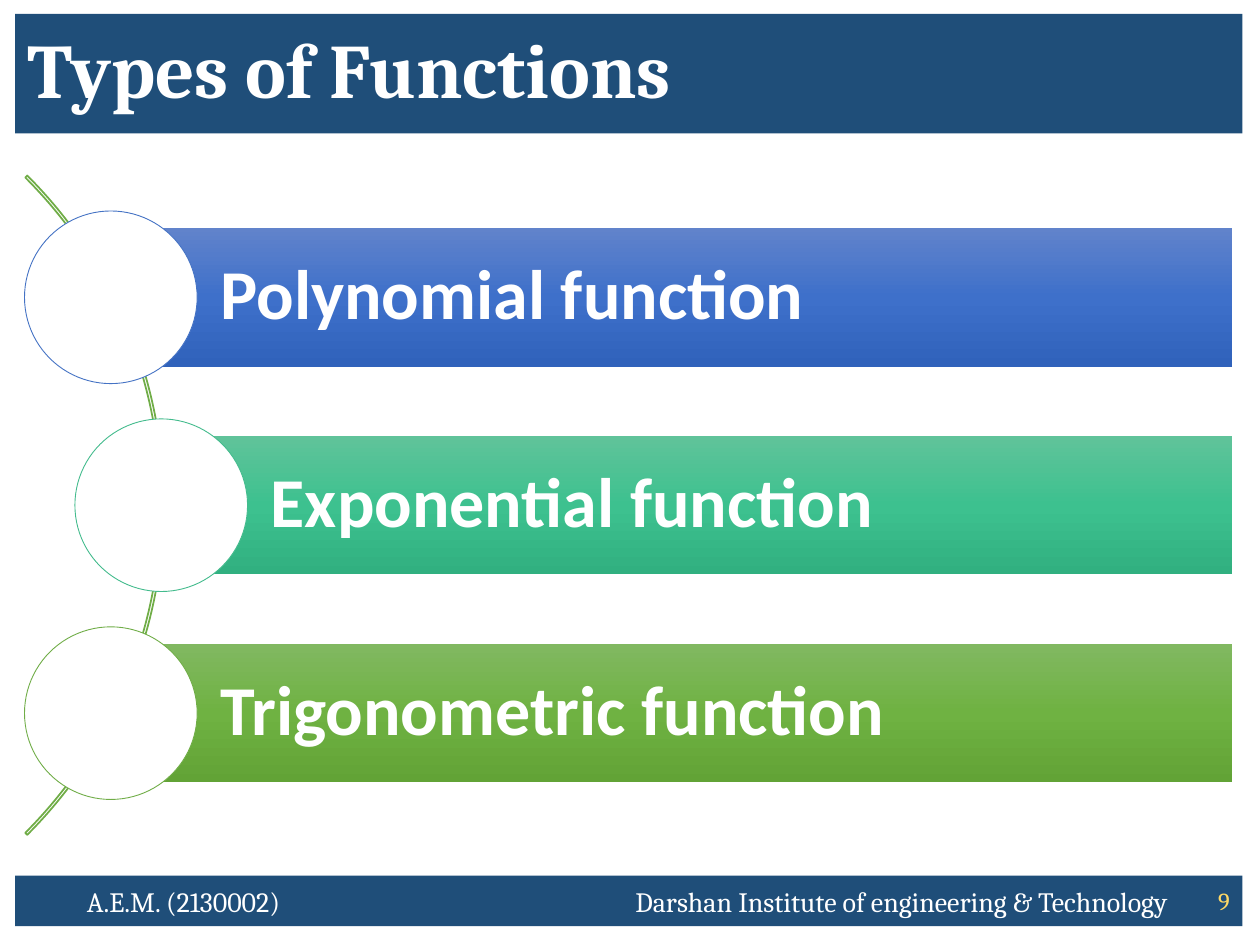
from copy import deepcopy

from pptx import Presentation
from pptx import util as u
from pptx.dml.color import RGBColor
from pptx.enum import shapes, text
from pptx.oxml import parse_xml
from pptx.oxml.ns import nsdecls

COLORS = {"navy": "1F4E79", "white": "FFFFFF", "gold": "FFD966", "arc": "70AD47"}

# Label, indent of the row, circle outline, gradient from top to bottom
ROWS = [
    ("Polynomial function", 0, "4472C4", ("6183CB", "3E70CA", "3062BB")),
    ("Exponential function", 0.4, "43BB8D", ("60C39A", "3DC18F", "31B080")),
    ("Trigonometric function", 0, "70AD47", ("81B861", "6FB242", "62A336")),
]

# Grid of the list and the bands, in inches
BAND_LEFT, BAND_WIDTH = 0.12, 9.74
FOOTER_TOP, FOOTER_HEIGHT = 6.95, 0.4
CENTER_Y, ROW_PITCH = 4.01, 1.65
BAR_LEFT, BAR_RIGHT, BAR_HEIGHT = 0.88, 9.78, 1.1
CIRCLE = 1.37
ARC_RADIUS, ARC_CENTER_X = 3.7, -2.4


def rgb(color):
    return RGBColor.from_string(color)


def place(shape, left, top, width, height):
    shape.left, shape.top = u.Inches(left), u.Inches(top)
    shape.width, shape.height = u.Inches(width), u.Inches(height)


def set_fill(shape, color):
    shape.fill.solid()
    shape.fill.fore_color.rgb = rgb(color)


def add_shape(slide, kind, box, fill=None, line=None, line_width=1):
    shape = slide.shapes.add_shape(kind, *map(u.Inches, box))
    shape.shadow.inherit = False
    if fill:
        set_fill(shape, fill)
    else:
        shape.fill.background()
    if line:
        shape.line.color.rgb = rgb(line)
        shape.line.width = u.Pt(line_width)
    else:
        shape.line.fill.background()
    return shape


def write(shape, words, size, font="Cambria", color=COLORS["white"], bold=False,
          align=text.PP_ALIGN.LEFT, spacing=None, left=0.1, right=0.1, tab=None):
    frame = shape.text_frame
    frame.word_wrap = True
    frame.auto_size = text.MSO_AUTO_SIZE.NONE
    frame.vertical_anchor = text.MSO_ANCHOR.MIDDLE
    frame.margin_left, frame.margin_right = u.Inches(left), u.Inches(right)
    frame.text = words
    paragraph = frame.paragraphs[0]
    paragraph.alignment = align
    if spacing:
        paragraph.line_spacing = spacing
    if tab:
        paragraph._p.get_or_add_pPr().append(parse_xml(
            f'<a:tabLst {nsdecls("a")}><a:tab pos="{u.Inches(tab)}" algn="r"/></a:tabLst>'))
    for run in paragraph.runs:
        run.font.name, run.font.size, run.font.bold = font, u.Pt(size), bold
        run.font.color.rgb = rgb(color)


def set_gradient(shape, colors):
    shape.fill.gradient()
    shape.fill.gradient_angle = 270
    first = shape.fill.gradient_stops[0]._gs
    first.addnext(deepcopy(first))
    for stop, color, position in zip(shape.fill.gradient_stops, colors, (0, 0.5, 1)):
        stop.color.rgb = rgb(color)
        stop.position = position


def add_title(slide):
    title = slide.shapes.title
    place(title, BAND_LEFT, 0.11, BAND_WIDTH, 0.95)
    set_fill(title, COLORS["navy"])
    write(title, "Types of Functions", 44, bold=True, spacing=0.9)


def add_footer(slide):
    footer = add_shape(slide, shapes.MSO_SHAPE.RECTANGLE,
                       (BAND_LEFT, FOOTER_TOP, BAND_WIDTH, FOOTER_HEIGHT), COLORS["navy"])
    write(footer, "A.E.M. (2130002)\tDarshan Institute of engineering & Technology", 16,
          left=0.57, tab=8.58)


def add_page_number(slide):
    box = (9.29, FOOTER_TOP, 0.57, FOOTER_HEIGHT)
    number = slide.shapes.add_textbox(*map(u.Inches, box))
    write(number, "9", 14, color=COLORS["gold"], align=text.PP_ALIGN.RIGHT)


def add_arc(slide):
    arc = add_shape(slide, shapes.MSO_SHAPE.BLOCK_ARC,
                    (ARC_CENTER_X - ARC_RADIUS, CENTER_Y - ARC_RADIUS,
                     2 * ARC_RADIUS, 2 * ARC_RADIUS), line=COLORS["arc"])
    # 315 to 45 degrees, with a thin band
    for index, value in enumerate((189, 27, 0.003)):
        arc.adjustments[index] = value


def add_row(slide, index, label, indent, outline, gradient):
    middle = CENTER_Y + (index - 1) * ROW_PITCH
    left = BAR_LEFT + indent
    bar = add_shape(slide, shapes.MSO_SHAPE.RECTANGLE,
                    (left, middle - BAR_HEIGHT / 2, BAR_RIGHT - left, BAR_HEIGHT))
    set_gradient(bar, gradient)
    write(bar, label, 40, font="Calibri", bold=True, spacing=0.9, left=0.87)
    # The circle is centred on the left edge of the bar
    add_shape(slide, shapes.MSO_SHAPE.OVAL,
              (left - CIRCLE / 2, middle - CIRCLE / 2, CIRCLE, CIRCLE),
              COLORS["white"], outline, 0.5)


def main():
    presentation = Presentation()
    presentation.slide_width, presentation.slide_height = u.Inches(10), u.Inches(7.5)
    slide = presentation.slides.add_slide(presentation.slide_layouts[5])

    # Title and footer bands
    add_title(slide)
    add_footer(slide)

    # Curved list
    add_arc(slide)
    for index, row in enumerate(ROWS):
        add_row(slide, index, *row)

    add_page_number(slide)
    presentation.save("out.pptx")


if __name__ == "__main__":
    main()
